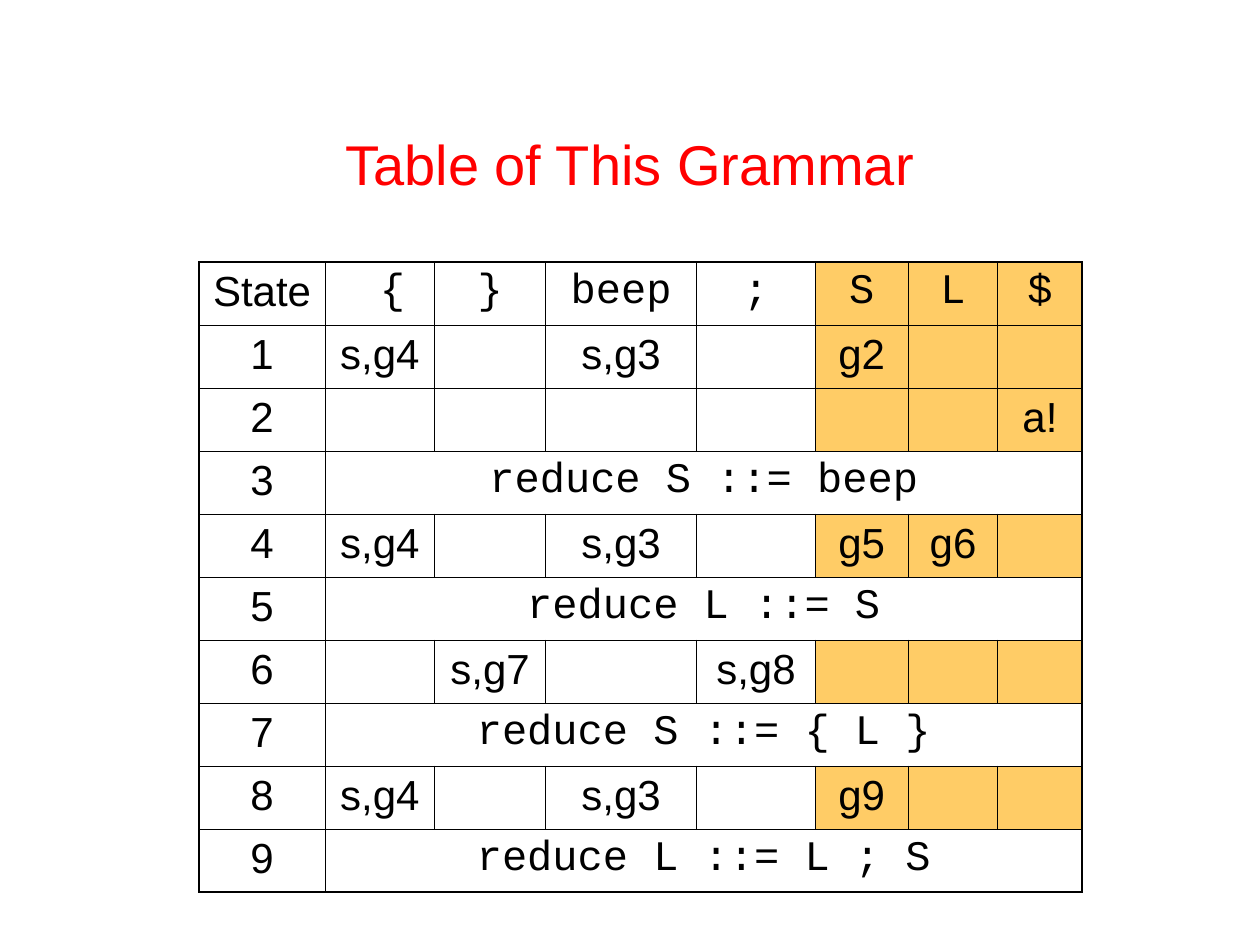
from lxml import etree
from pptx import Presentation
from pptx.dml.color import RGBColor
from pptx.enum.text import MSO_ANCHOR, PP_ALIGN
from pptx.oxml.ns import qn
from pptx.util import Inches, Pt

CENTER = PP_ALIGN.CENTER
TOP, MIDDLE = MSO_ANCHOR.TOP, MSO_ANCHOR.MIDDLE
SANS, MONO = "Arial", "Courier New"
THIN, THICK = Pt(0.45), Pt(1.08)
TITLE_ONLY = 5


def write(frame, text, size=24, font=SANS, color="000000"):
    paragraph = frame.paragraphs[0]
    paragraph.alignment = CENTER
    run = paragraph.add_run()
    run.text = text
    run.font.size = Pt(size)
    run.font.name = font
    run.font.color.rgb = RGBColor.from_string(color)


def add_borders(cell, **widths):
    properties = cell._tc.get_or_add_tcPr()
    for side in "LRTB":
        line = etree.SubElement(properties, qn(f"a:ln{side}"), w=str(widths[side]))
        fill = etree.SubElement(line, qn("a:solidFill"))
        etree.SubElement(fill, qn("a:srgbClr"), val="000000")


prs = Presentation()
prs.slide_width, prs.slide_height = Inches(10), Inches(7.5)
slide = prs.slides.add_slide(prs.slide_layouts[TITLE_ONLY])

# Title
title = slide.shapes.title
title.left, title.top = Inches(0.75), Inches(0.67)
title.width, title.height = Inches(8.5), Inches(1.25)
title.text_frame.vertical_anchor = MIDDLE
write(title.text_frame, "Table of This Grammar", size=32, color="FF0000")

# Parse table: a one-entry row is a reduction that spans all symbols
symbols = [" {", "}", "beep", ";", "S", "L", "$"]
states = [
    ["s,g4", "", "s,g3", "", "g2", "", ""],
    ["", "", "", "", "", "", "a!"],
    ["reduce S ::= beep"],
    ["s,g4", "", "s,g3", "", "g5", "g6", ""],
    ["reduce L ::= S"],
    ["", "s,g7", "", "s,g8", "", "", ""],
    ["reduce S ::= { L }"],
    ["s,g4", "", "s,g3", "", "g9", "", ""],
    ["reduce L ::= L ; S"],
]
rows = [["State"] + symbols]
rows += [[str(number), *actions] for number, actions in enumerate(states, 1)]
column_widths = [1, 0.87, 0.88, 1.2, 0.94, 0.74, 0.71, 0.67]
row_height = 0.5
first_goto = 1 + symbols.index("S")
last_row, last_column = len(rows) - 1, len(column_widths) - 1

grammar = slide.shapes.add_table(
    len(rows), len(column_widths), Inches(1.58), Inches(2.08),
    Inches(sum(column_widths)), Inches(row_height * len(rows))).table
grammar.first_row = grammar.horz_banding = False
for column, width in zip(grammar.columns, column_widths):
    column.width = Inches(width)

for r, entries in enumerate(rows):
    grammar.rows[r].height = Inches(row_height)
    is_reduction = len(entries) == 2
    if is_reduction:
        grammar.cell(r, 1).merge(grammar.cell(r, last_column))
    for c, entry in enumerate(entries):
        cell = grammar.cell(r, c)
        ends_row = c == len(entries) - 1
        cell.vertical_anchor = TOP
        add_borders(cell,
                    L=THICK if c == 0 else THIN,
                    R=THICK if ends_row else THIN,
                    T=THICK if r == 0 else THIN,
                    B=THICK if r == last_row else THIN)
        if is_reduction and ends_row:
            cell.fill.background()
        else:
            cell.fill.solid()
            shade = "FFCC66" if c >= first_goto else "FFFFFF"
            cell.fill.fore_color.rgb = RGBColor.from_string(shade)
        if entry:
            is_code = c > 0 and (r == 0 or is_reduction)
            write(cell.text_frame, entry, font=MONO if is_code else SANS)

prs.save("out.pptx")
